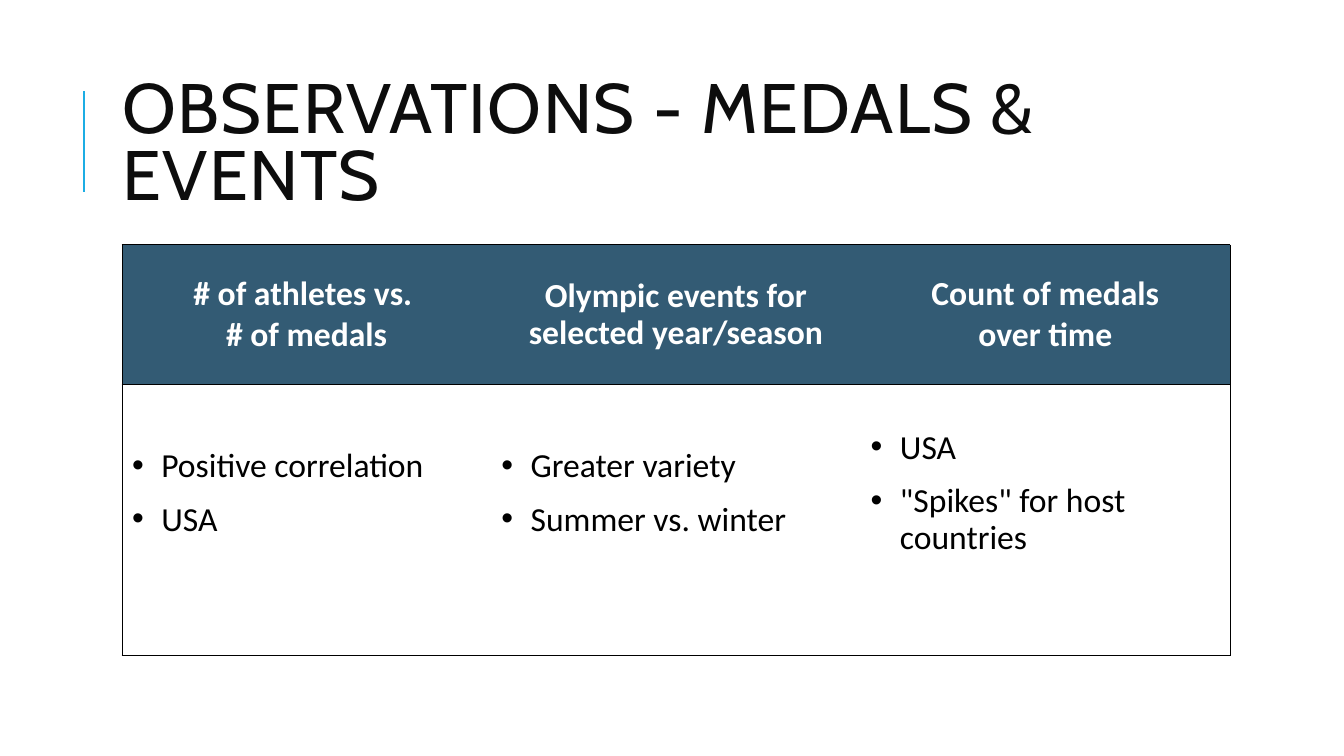
from lxml import etree
from pptx import Presentation
from pptx.dml.color import RGBColor
from pptx.enum.shapes import MSO_CONNECTOR
from pptx.enum.text import MSO_ANCHOR, PP_ALIGN
from pptx.oxml.ns import qn
from pptx.util import Inches, Pt

STRAIGHT = MSO_CONNECTOR.STRAIGHT
MIDDLE = MSO_ANCHOR.MIDDLE
CENTER = PP_ALIGN.CENTER
LEFT = PP_ALIGN.LEFT

# Content
TITLE = "OBSERVATIONS - MEDALS & EVENTS"
# heading (\v breaks the line), heading line spacing, bullets
COLUMNS = [
    ("# of athletes vs. \v# of medals", 1.0, ["Positive correlation", "USA"]),
    ("Olympic events for\vselected year/season", 0.9, ["Greater variety", "Summer vs. winter"]),
    ("Count of medals\vover time", 1.0, ["USA", '"Spikes" for host countries']),
]

THEME = {
    "accent": "1CADE4", "title": "0D0D0D", "header": "335B74",
    "header_text": "FFFFFF", "text": "000000", "border": "000000",
    "title_font": "Cabin", "body_font": "Calibri",
    "title_size": 50, "body_size": 24,
}

# Layout in inches
TABLE_LEFT, TABLE_TOP, TABLE_WIDTH = 1.21, 2.43, 10.99
ROW_HEIGHTS = [1.38, 2.69]
BODY_BOTTOM_MARGIN = 0.57
BULLET_MARGIN, BULLET_INDENT = 0.29, -0.31


def rgb(name):
    return RGBColor.from_string(THEME[name])


def style_font(font, family, size, color, bold=False):
    font.name = THEME[family]
    font.size = Pt(THEME[size])
    font.color.rgb = rgb(color)
    font.bold = bold


def add_bullet(para):
    properties = para._p.get_or_add_pPr()
    properties.set("marL", str(Inches(BULLET_MARGIN)))
    properties.set("indent", str(Inches(BULLET_INDENT)))
    etree.SubElement(properties, qn("a:buFont")).set("typeface", "Arial")
    etree.SubElement(properties, qn("a:buChar")).set("char", "•")


def set_borders(cell, drawn_edges):
    properties = cell._tc.get_or_add_tcPr()
    for index, edge in enumerate("LRTB"):
        line = etree.Element(qn(f"a:ln{edge}"), w=str(Pt(0.75)))
        if edge in drawn_edges:
            fill = etree.SubElement(line, qn("a:solidFill"))
            etree.SubElement(fill, qn("a:srgbClr")).set("val", THEME["border"])
        else:
            etree.SubElement(line, qn("a:noFill"))
        properties.insert(index, line)


def fill_header(cell, heading, spacing):
    cell.fill.solid()
    cell.fill.fore_color.rgb = rgb("header")
    para = cell.text_frame.paragraphs[0]
    para.text = heading
    para.alignment = CENTER
    para.line_spacing = spacing
    for span in para.runs:
        style_font(span.font, "body_font", "body_size", "header_text", True)


def fill_body(cell, bullets):
    cell.fill.background()
    cell.margin_bottom = Inches(BODY_BOTTOM_MARGIN)
    cell.text_frame.text = "\n".join(bullets)
    for index, para in enumerate(cell.text_frame.paragraphs):
        para.alignment = LEFT
        para.line_spacing = 0.9
        if index:
            para.space_before = Pt(12)
        add_bullet(para)
        style_font(para.runs[0].font, "body_font", "body_size", "text")


def add_title(page):
    # Accent rule beside the title
    rule = page.shapes.add_connector(
        STRAIGHT, Inches(0.83), Inches(1.9), Inches(0.83), Inches(0.9))
    rule.line.color.rgb = rgb("accent")
    rule.line.width = Pt(1.5)
    etree.SubElement(rule._element.spPr, qn("a:effectLst"))

    # Title text
    box = page.shapes.add_textbox(Inches(1.12), Inches(0.64), Inches(10.63), Inches(1.64))
    frame = box.text_frame
    frame.word_wrap = True
    frame.vertical_anchor = MIDDLE
    frame.text = TITLE
    para = frame.paragraphs[0]
    para.line_spacing = 0.8
    span = para.runs[0]
    style_font(span.font, "title_font", "title_size", "title")
    span._r.get_or_add_rPr().set("spc", "100")


def add_observations(page):
    table = page.shapes.add_table(
        len(ROW_HEIGHTS), len(COLUMNS), Inches(TABLE_LEFT), Inches(TABLE_TOP),
        Inches(TABLE_WIDTH), Inches(sum(ROW_HEIGHTS))).table
    table.horz_banding = False
    for row, height in zip(table.rows, ROW_HEIGHTS):
        row.height = Inches(height)
    for index, (heading, spacing, bullets) in enumerate(COLUMNS):
        table.columns[index].width = Inches(TABLE_WIDTH / len(COLUMNS))
        header, body = table.cell(0, index), table.cell(1, index)
        fill_header(header, heading, spacing)
        fill_body(body, bullets)
        # Only the outer frame and the line under the header are drawn
        sides = {0: "L", len(COLUMNS) - 1: "R"}.get(index, "")
        for cell in (header, body):
            cell.vertical_anchor = MIDDLE
            set_borders(cell, sides + "TB")


def main():
    deck = Presentation()
    deck.slide_width, deck.slide_height = Inches(13.33), Inches(7.5)
    page = deck.slides.add_slide(deck.slide_layouts[6])
    add_title(page)
    add_observations(page)
    deck.save("out.pptx")


if __name__ == "__main__":
    main()
